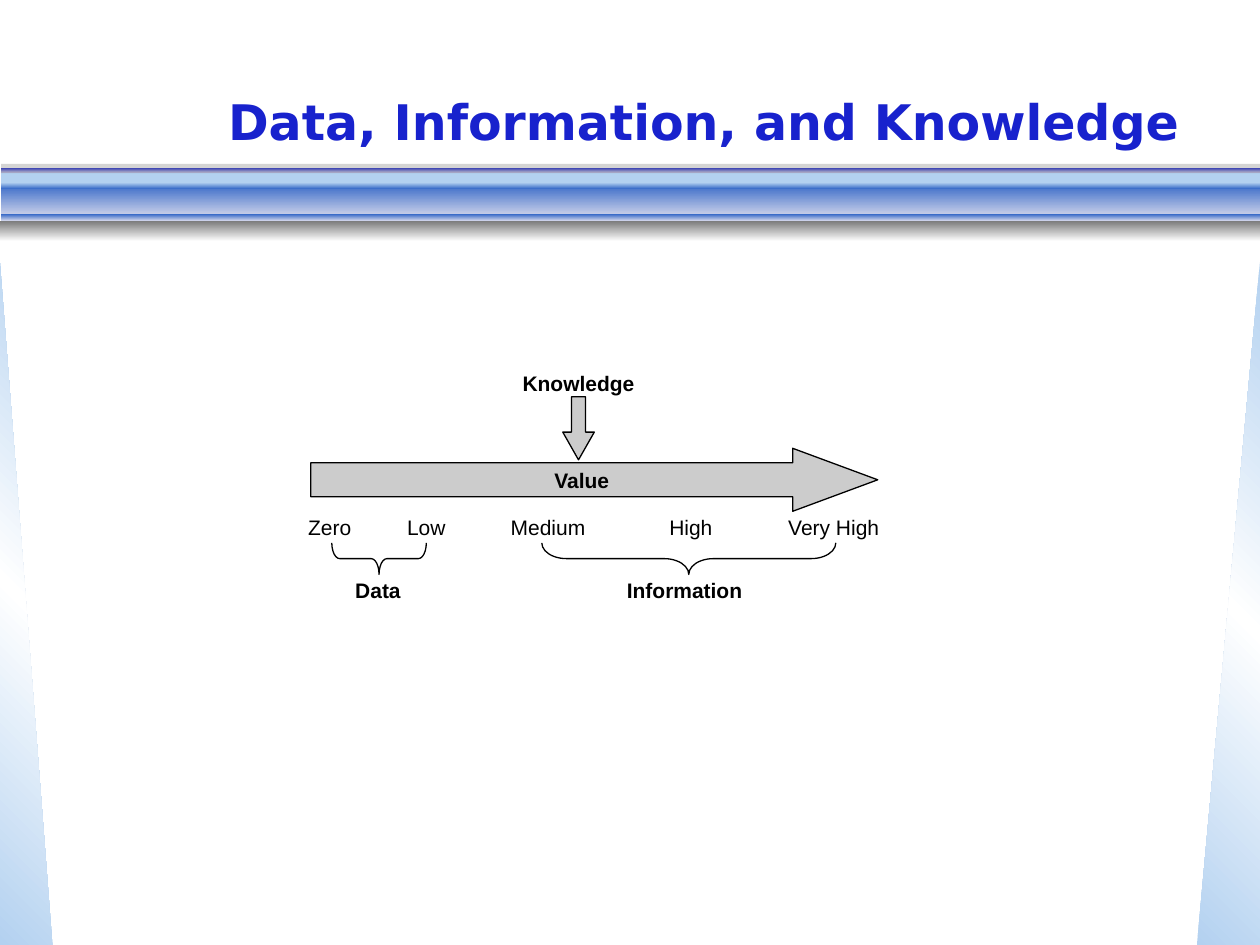
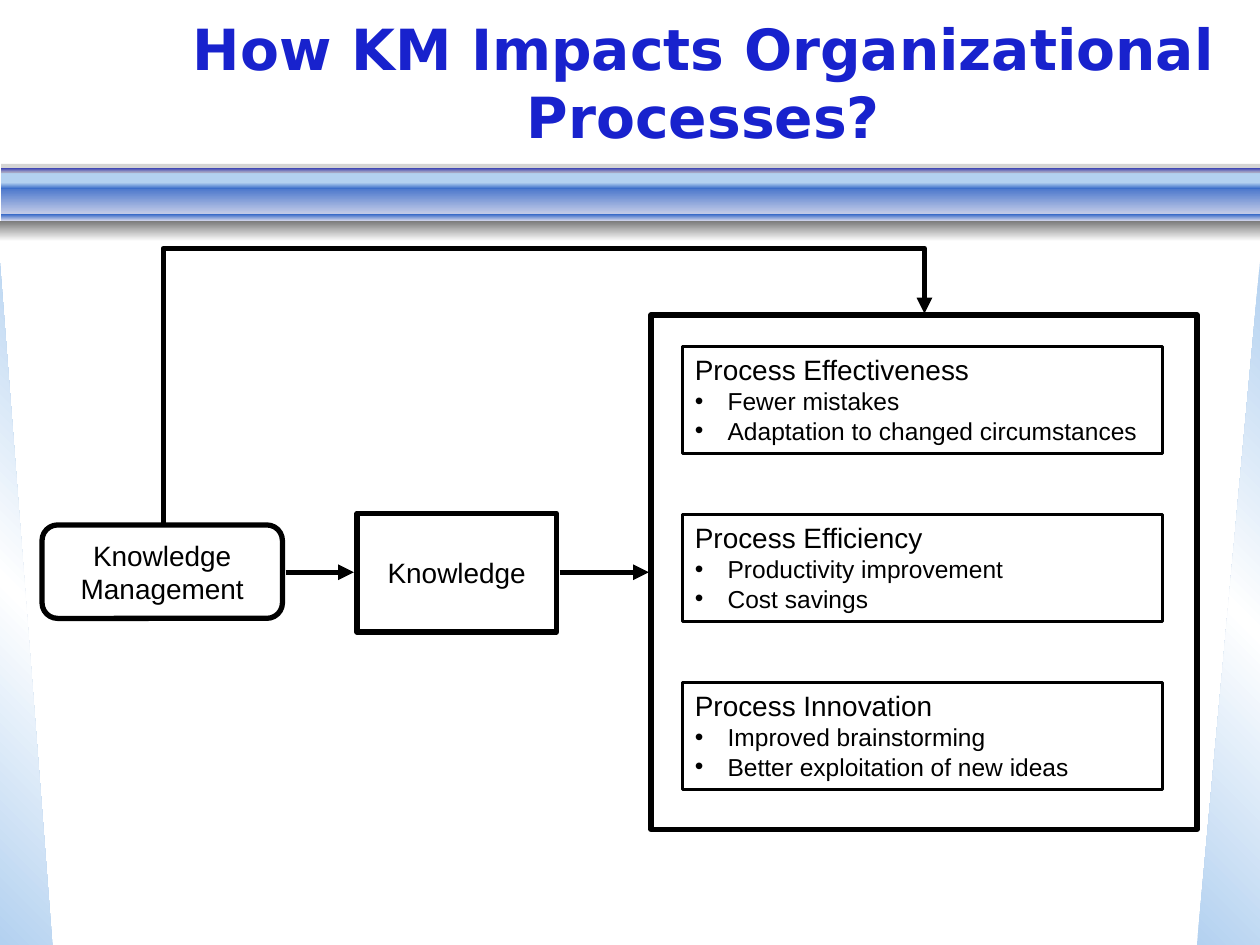
import pptx
import pptx.dml.color
import pptx.enum.shapes
import pptx.enum.text
import pptx.oxml
import pptx.oxml.ns
import pptx.util
import lxml.etree

Kind = pptx.enum.shapes.MSO_SHAPE
Link = pptx.enum.shapes.MSO_CONNECTOR
Align = pptx.enum.text.PP_ALIGN
Anchor = pptx.enum.text.MSO_ANCHOR
qn = pptx.oxml.ns.qn

deck = pptx.Presentation()
deck.slide_width = pptx.util.Inches(10)
deck.slide_height = pptx.util.Inches(7.5)
column = deck.slide_width / 120
row = deck.slide_height / 90

INK, BLUE, SKY, STEEL, MIST, GREY = "000000", "1822CD", "B3D1F0", "3568C7", "CAD0E9", "777777"


def colour(code):
    return pptx.dml.color.RGBColor.from_string(code)


def place(page, kind, area, fill=None, line=0, texts=(), sizes=(16,), bold=False,
          align=Align.CENTER, anchor=Anchor.MIDDLE, wrap=True):
    left, top, width, height = area
    frame = [int(left * column), int(top * row), int(width * column), int(height * row)]
    if kind is None:
        shape = page.shapes.add_textbox(*frame)
    else:
        shape = page.shapes.add_shape(kind, *frame)
        shape.shadow.inherit = False
    shape.fill.background()
    if isinstance(fill, str):
        shape.fill.solid()
        shape.fill.fore_color.rgb = colour(fill)
    elif fill:
        angle, *codes = fill
        stops = "".join(
            f'<a:gs pos="{100000 * i // (len(codes) - 1)}"><a:srgbClr val="{code}"/></a:gs>'
            for i, code in enumerate(codes))
        blend = pptx.oxml.parse_xml(
            f'<a:gradFill {pptx.oxml.ns.nsdecls("a")} rotWithShape="1"><a:gsLst>{stops}</a:gsLst>'
            f'<a:lin ang="{angle * 60000}" scaled="0"/></a:gradFill>')
        blank = shape.element.spPr.find(qn("a:noFill"))
        blank.getparent().replace(blank, blend)
    if line:
        shape.line.color.rgb = colour(INK)
        shape.line.width = pptx.util.Pt(line)
    else:
        shape.line.fill.background()
    shape.text_frame.word_wrap = wrap
    shape.text_frame.vertical_anchor = anchor
    for i, text in enumerate(texts):
        para = shape.text_frame.paragraphs[0] if i == 0 else shape.text_frame.add_paragraph()
        para.alignment = align
        span = para.add_run()
        span.text = text
        look = {"name": "Arial", "size": pptx.util.Pt(sizes[i]), "bold": bold}
        for name, value in look.items():
            setattr(span.font, name, value)
        span.font.color.rgb = colour(INK)
    return shape


layout = deck.slide_layouts[5]
for holder in list(layout.placeholders):
    if holder.placeholder_format.type != pptx.enum.shapes.PP_PLACEHOLDER.TITLE:
        holder.element.getparent().remove(holder.element)

titles = [("Data, Information, and Knowledge", 28),
          ("How KM Impacts Organizational Processes?", 32.4)]
pages = []
for text, size in titles:
    page = deck.slides.add_slide(layout)
    title = page.shapes.title
    position = {"left": 15 * column, "top": row, "width": 104 * column, "height": 14 * row}
    for name, value in position.items():
        setattr(title, name, int(value))
    title.text_frame.text = text
    settings = {"word_wrap": True, "auto_size": pptx.enum.text.MSO_AUTO_SIZE.NONE,
                "vertical_anchor": Anchor.BOTTOM, "margin_bottom": pptx.util.Inches(0.06)}
    for name, value in settings.items():
        setattr(title.text_frame, name, value)
    para = title.text_frame.paragraphs[0]
    para.alignment = Align.CENTER
    look = {"name": "DejaVu Sans", "size": pptx.util.Pt(size), "bold": True}
    for name, value in look.items():
        setattr(para.runs[0].font, name, value)
    para.runs[0].font.color.rgb = colour(BLUE)
    pages.append(page)
value_page, process_page = pages

backdrop = [
    (Kind.RIGHT_TRIANGLE, (0, 25, 5, 65), (315, SKY, "FFFFFF", SKY)),
    (Kind.RIGHT_TRIANGLE, (114, 25, 6, 65), (45, SKY, "FFFFFF", SKY)),
    (Kind.RECTANGLE, (0.1, 16.3, 119.9, 1.2), SKY),
    (Kind.RECTANGLE, (0.1, 17.5, 119.9, 3), (90, STEEL, MIST)),
    (Kind.RECTANGLE, (0.1, 16, 119.9, 0.4), (90, BLUE, "BABBE7")),
    (Kind.RECTANGLE, (0.1, 20.4, 119.9, 0.6), (90, STEEL, MIST)),
    (Kind.RECTANGLE, (0.1, 17.4, 119.9, 0.6), (90, SKY, STEEL)),
    (Kind.RECTANGLE, (0, 21, 120, 2), (90, GREY, "FFFFFF")),
    (Kind.RECTANGLE, (0.1, 15.6, 119.9, 0.9), GREY),
]
parts = [place(value_page, *item) for item in backdrop]
parts[1].element.spPr.find(qn("a:xfrm")).set("flipH", "1")
veil = parts[-1].element.spPr.find(qn("a:solidFill"))[0]
lxml.etree.SubElement(veil, qn("a:alpha")).set("val", "31000")
for i, part in enumerate(parts):
    layout.shapes.element.insert(2 + i, part.element)

arrows = [(Kind.RIGHT_ARROW, (29.6, 42.7, 54, 6), (0.54, 1.35)),
          (Kind.DOWN_ARROW, (53.6, 37.8, 3, 6), (0.45, 0.88))]
braces = [(Kind.LEFT_BRACE, (34.6, 48.7, 3, 9), (0.25, 0.5)),
          (Kind.LEFT_BRACE, (64.1, 39.2, 3, 28), (0.78, 0.5))]
for kind, area, adjustments in arrows + braces:
    shape = place(value_page, kind, area, None if kind == Kind.LEFT_BRACE else "CCCCCC", 0.75)
    for i, amount in enumerate(adjustments):
        shape.adjustments[i] = amount
    if kind == Kind.LEFT_BRACE:
        shape.rotation = 270

labels = [("Knowledge", 55.1, 34.7, True), ("Value", 55.4, 43.9, True),
          ("Zero", 31.4, 48.4, False), ("Low", 40.6, 48.4, False),
          ("Medium", 52.2, 48.4, False), ("High", 65.8, 48.4, False),
          ("Very High", 79.4, 48.4, False),
          ("Data", 36, 54.4, True), ("Information", 65.2, 54.4, True)]
for text, centre, top, bold in labels:
    place(value_page, None, (centre - 7, top, 14, 3.6), texts=[text], sizes=[12],
          bold=bold, anchor=Anchor.TOP, wrap=False)

place(process_page, Kind.ROUNDED_RECTANGLE, (4, 50, 22.9, 8.9), line=3,
      texts=["Knowledge Management"])
place(process_page, Kind.RECTANGLE, (34, 48.9, 19, 11.3), line=3, texts=["Knowledge"])
place(process_page, Kind.RECTANGLE, (62, 30, 52, 49), line=3)

processes = [
    ("Process Effectiveness", "Fewer mistakes", "Adaptation to changed circumstances"),
    ("Process Efficiency", "Productivity improvement", "Cost savings"),
    ("Process Innovation", "Improved brainstorming", "Better exploitation of new ideas"),
]
for i, texts in enumerate(processes):
    box = place(process_page, Kind.RECTANGLE, (65, 33 + 16 * i, 45.7, 10.2), line=1.5,
                texts=texts, sizes=(16, 14, 14), align=Align.LEFT, anchor=Anchor.TOP)
    indent = pptx.util.Inches(0.26)
    for para in box.text_frame.paragraphs[1:]:
        properties = para._p.get_or_add_pPr()
        properties.set("marL", str(indent))
        properties.set("indent", str(-indent))
        lxml.etree.SubElement(properties, qn("a:buFont")).set("typeface", "Arial")
        lxml.etree.SubElement(properties, qn("a:buChar")).set("char", "•")

flows = [(Link.STRAIGHT, 27.2, 54.5, 33.7, 54.5),
         (Link.STRAIGHT, 53.3, 54.5, 61.8, 54.5),
         (Link.ELBOW, 41.8, 3.6, 61.8, 76.1)]
for kind, left, top, right, bottom in flows:
    flow = process_page.shapes.add_connector(
        kind, int(left * column), int(top * row), int(right * column), int(bottom * row))
    flow.line.color.rgb = colour(INK)
    flow.line.width = pptx.util.Pt(3)
    outline = flow.element.spPr
    lxml.etree.SubElement(outline.find(qn("a:ln")), qn("a:tailEnd")).set("type", "triangle")
    lxml.etree.SubElement(outline, qn("a:effectLst"))
    if kind == Link.ELBOW:
        outline.find(qn("a:xfrm")).set("rot", str(270 * 60000))
        guide = lxml.etree.SubElement(outline.find(qn("a:prstGeom")).find(qn("a:avLst")), qn("a:gd"))
        guide.set("name", "adj1")
        guide.set("fmla", "val 131000")

deck.save("out.pptx")
